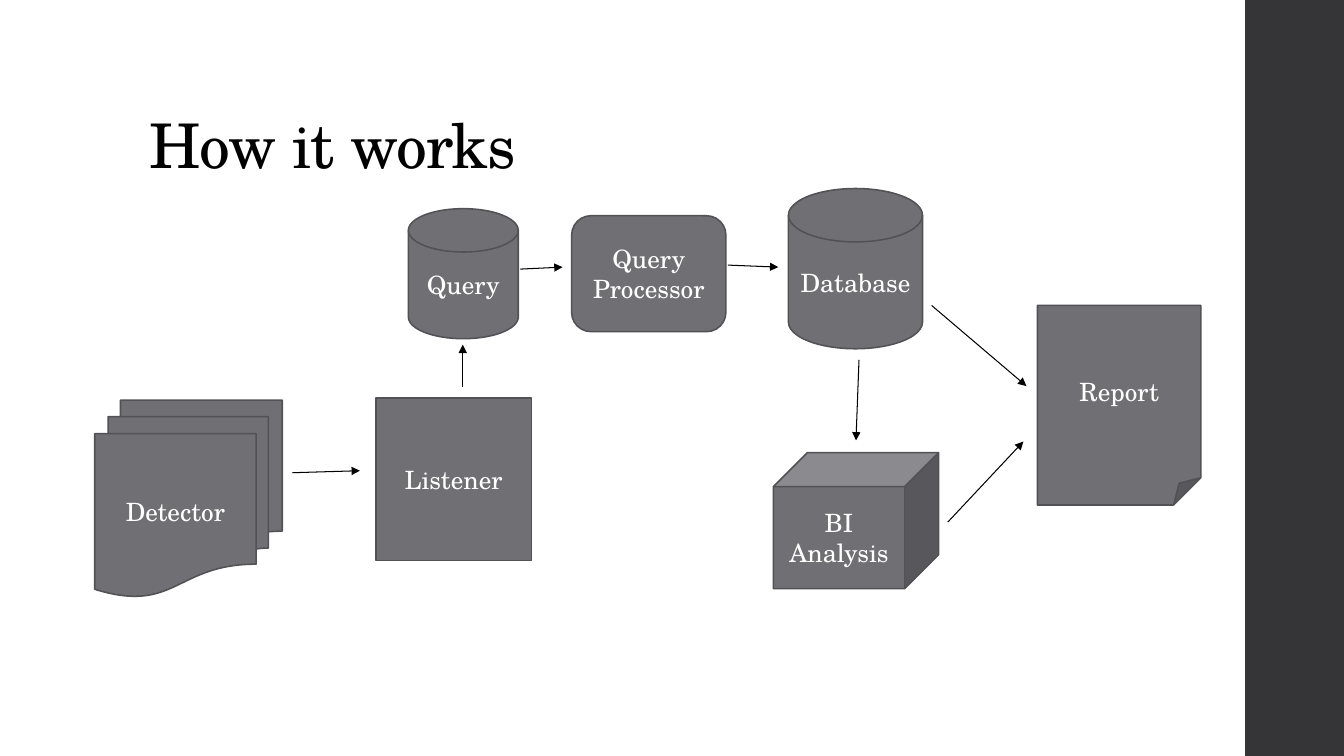
import lxml.etree
import pptx
import pptx.dml.color
import pptx.enum.shapes
import pptx.enum.text
import pptx.oxml.ns
import pptx.util

Inches = pptx.util.Inches
Pt = pptx.util.Pt
RGBColor = pptx.dml.color.RGBColor
MSO_SHAPE = pptx.enum.shapes.MSO_SHAPE
PP_ALIGN = pptx.enum.text.PP_ALIGN
MSO_ANCHOR = pptx.enum.text.MSO_ANCHOR
qn = pptx.oxml.ns.qn

FONT = "TeX Gyre Schola"
BLACK = RGBColor(0x00, 0x00, 0x00)
WHITE = RGBColor(0xFF, 0xFF, 0xFF)
GRAY = RGBColor(0x6F, 0x6F, 0x74)
OUTLINE = RGBColor(0x52, 0x52, 0x56)
CHARCOAL = RGBColor(0x35, 0x35, 0x37)


def add_block(kind, left, top, width, height, fill):
    block = slide.shapes.add_shape(
        kind, Inches(left), Inches(top), Inches(width), Inches(height))
    block.shadow.inherit = False
    block.fill.solid()
    block.fill.fore_color.rgb = fill
    return block


def style_text(paragraph, size, color, alignment):
    paragraph.alignment = alignment
    paragraph.font.name = FONT
    paragraph.font.size = Pt(size)
    paragraph.font.color.rgb = color


presentation = pptx.Presentation()
presentation.slide_width = Inches(13.33)
presentation.slide_height = Inches(7.5)
slide = presentation.slides.add_slide(presentation.slide_layouts[5])

sidebar = add_block(MSO_SHAPE.RECTANGLE, 12.35, 0, 1, 7.5, CHARCOAL)
sidebar.line.fill.background()

title = slide.shapes.title
title.left, title.top = Inches(1.38), Inches(0.4)
title.width, title.height = Inches(10.6), Inches(1.45)
title.text_frame.text = "How it works"
title.text_frame.vertical_anchor = MSO_ANCHOR.BOTTOM
heading = title.text_frame.paragraphs[0]
style_text(heading, 44, BLACK, PP_ALIGN.LEFT)
heading.line_spacing = 0.9
heading.runs[0].font._element.set("spc", "-50")

steps = [
    ("Detector", MSO_SHAPE.FLOWCHART_MULTIDOCUMENT, 0.94, 3.97, 1.86, 1.95),
    ("Listener", MSO_SHAPE.RECTANGLE, 3.73, 3.95, 1.54, 1.61),
    ("Query", MSO_SHAPE.FLOWCHART_MAGNETIC_DISK, 4.05, 2.07, 1.09, 1.29),
    ("Query\nProcessor", MSO_SHAPE.FLOWCHART_ALTERNATE_PROCESS, 5.67, 2.14, 1.53, 1.15),
    ("Database", MSO_SHAPE.FLOWCHART_MAGNETIC_DISK, 7.82, 1.87, 1.33, 1.59),
    ("BI Analysis", MSO_SHAPE.CUBE, 7.67, 4.49, 1.64, 1.35),
    ("Report", MSO_SHAPE.FOLDED_CORNER, 10.29, 3.03, 1.62, 1.98),
]
for label, kind, left, top, width, height in steps:
    step = add_block(kind, left, top, width, height, GRAY)
    step.line.color.rgb = OUTLINE
    step.line.width = Pt(1.1)
    step.text_frame.text = label
    step.text_frame.word_wrap = True
    step.text_frame.vertical_anchor = MSO_ANCHOR.MIDDLE
    for paragraph in step.text_frame.paragraphs:
        style_text(paragraph, 18, WHITE, PP_ALIGN.CENTER)

flows = [
    (2.9, 4.69, 3.57, 4.67),
    (4.59, 3.84, 4.59, 3.42),
    (5.16, 2.67, 5.58, 2.65),
    (7.22, 2.63, 7.72, 2.65),
    (9.24, 3.03, 10.18, 3.83),
    (8.52, 3.57, 8.49, 4.37),
    (9.4, 5.18, 10.15, 4.38),
]
for flow in flows:
    arrow = slide.shapes.add_connector(
        pptx.enum.shapes.MSO_CONNECTOR.STRAIGHT, *[Inches(value) for value in flow])
    arrow.line.color.rgb = BLACK
    arrow.line.width = Pt(0.75)
    arrowhead = lxml.etree.SubElement(arrow.line._get_or_add_ln(), qn("a:tailEnd"))
    arrowhead.set("type", "triangle")
    lxml.etree.SubElement(arrow._element.spPr, qn("a:effectLst"))

presentation.save("out.pptx")
